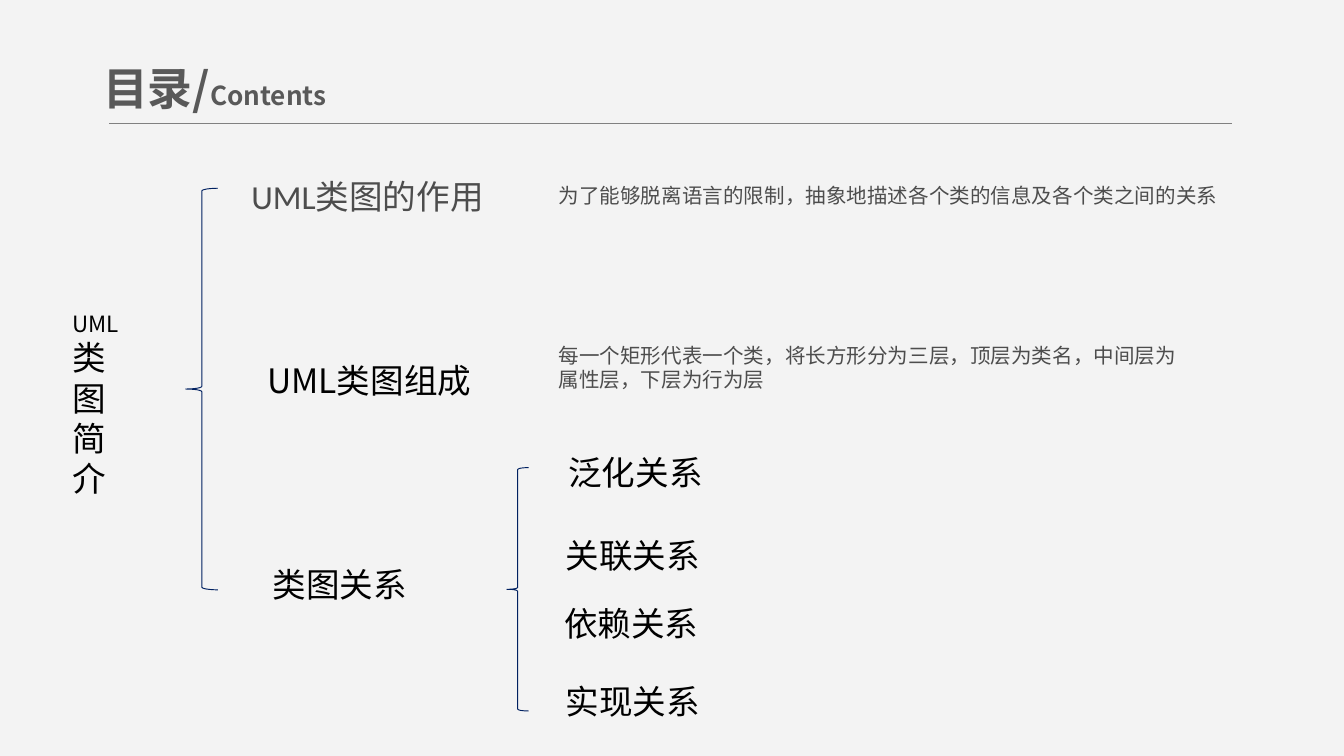
from lxml.etree import SubElement
from pptx import Presentation
from pptx.dml.color import RGBColor
from pptx.enum.shapes import MSO_CONNECTOR, MSO_SHAPE
from pptx.enum.text import MSO_ANCHOR, MSO_AUTO_SIZE
from pptx.oxml.ns import qn
from pptx.util import Cm, Pt

COLORS = {
    "background": "F3F3F3",
    "title": "595959",
    "rule": "808080",
    "muted": "4D4D4D",
    "text": "000000",
    "brace": "002060",
}
CJK = "Noto Sans CJK SC"
LATIN = "Calibri"


def rgb(name):
    """Return the named colour."""
    return RGBColor.from_string(COLORS[name])


def add_text(slide, left, top, width, height, runs, color="text", font=CJK, bold=None):
    """Add a one-paragraph text box from (text, size) runs; return the shape."""
    sp = slide.shapes.add_textbox(Cm(left), Cm(top), Cm(width), Cm(height))
    tf = sp.text_frame
    tf.word_wrap = True
    tf.auto_size = MSO_AUTO_SIZE.SHAPE_TO_FIT_TEXT
    p = tf.paragraphs[0]
    p.font.name = font
    p.font.bold = bold
    p.font.color.rgb = rgb(color)
    SubElement(p.font._element, qn("a:ea")).set("typeface", CJK)
    for text, size in runs:
        r = p.add_run()
        r.text = text
        r.font.size = Pt(size)
    return sp


def add_title(slide):
    """Add the heading and the rule below it."""
    sp = add_text(slide, 1.7, 0.97, 6.27, 1.37,
                  [("目录/", 24), ("Contents", 14)], "title", bold=True)
    tf = sp.text_frame
    tf.auto_size = MSO_AUTO_SIZE.NONE
    tf.vertical_anchor = MSO_ANCHOR.MIDDLE
    tf.paragraphs[0].space_before = Pt(5)
    rule = slide.shapes.add_connector(
        MSO_CONNECTOR.STRAIGHT, Cm(2.06), Cm(2.34), Cm(23.29), Cm(2.34))
    rule.line.color.rgb = rgb("rule")
    rule.line.width = Pt(0.5)
    SubElement(rule._element.spPr, qn("a:effectLst"))


def add_brace(slide, left, top, width, height):
    """Add a thin left brace."""
    sp = slide.shapes.add_shape(
        MSO_SHAPE.LEFT_BRACE, Cm(left), Cm(top), Cm(width), Cm(height))
    sp.shadow.inherit = False
    sp.fill.background()
    sp.line.color.rgb = rgb("brace")
    sp.line.width = Pt(0.5)


def main():
    """Build the contents slide."""
    prs = Presentation()
    prs.slide_width, prs.slide_height = Cm(25.4), Cm(14.29)
    slide = prs.slides.add_slide(prs.slide_layouts[6])
    fill = slide.background.fill
    fill.solid()
    fill.fore_color.rgb = rgb("background")

    add_title(slide)
    add_text(slide, 1.12, 5.74, 1.4, 3.94, [("UML", 12), ("类图简介", 18)])

    topics = [
        (4.5, 3.2, 7.19, "UML类图的作用", "muted", LATIN),
        (4.8, 6.68, 6.32, "UML类图组成", "text", CJK),
        (4.9, 10.54, 5.16, "类图关系", "text", CJK),
    ]
    for left, top, width, text, color, font in topics:
        add_text(slide, left, top, width, 1.02, [(text, 18)], color, font)

    descriptions = [
        (3.1, 14, 0.97, 1.5,
         "为了能够脱离语言的限制，抽象地描述各个类的信息及各个类之间的关系"),
        (6.35, 12.24, 1.96, 1.0,
         "每一个矩形代表一个类，将长方形分为三层，顶层为类名，中间层为属性层，下层为行为层"),
    ]
    for top, width, height, spacing, text in descriptions:
        sp = add_text(slide, 10.31, top, width, height, [(text, 11)], "muted", LATIN)
        sp.text_frame.paragraphs[0].line_spacing = spacing

    relations = [
        (10.49, 8.41, "泛化关系"),
        (10.44, 9.98, "关联关系"),
        (10.41, 11.28, "依赖关系"),
        (10.44, 12.75, "实现关系"),
    ]
    for left, top, text in relations:
        add_text(slide, left, top, 3.6, 1.02, [(text, 18)])

    add_brace(slide, 3.51, 3.56, 0.61, 7.59)
    add_brace(slide, 9.58, 8.84, 0.41, 4.6)
    prs.save("out.pptx")


main()
